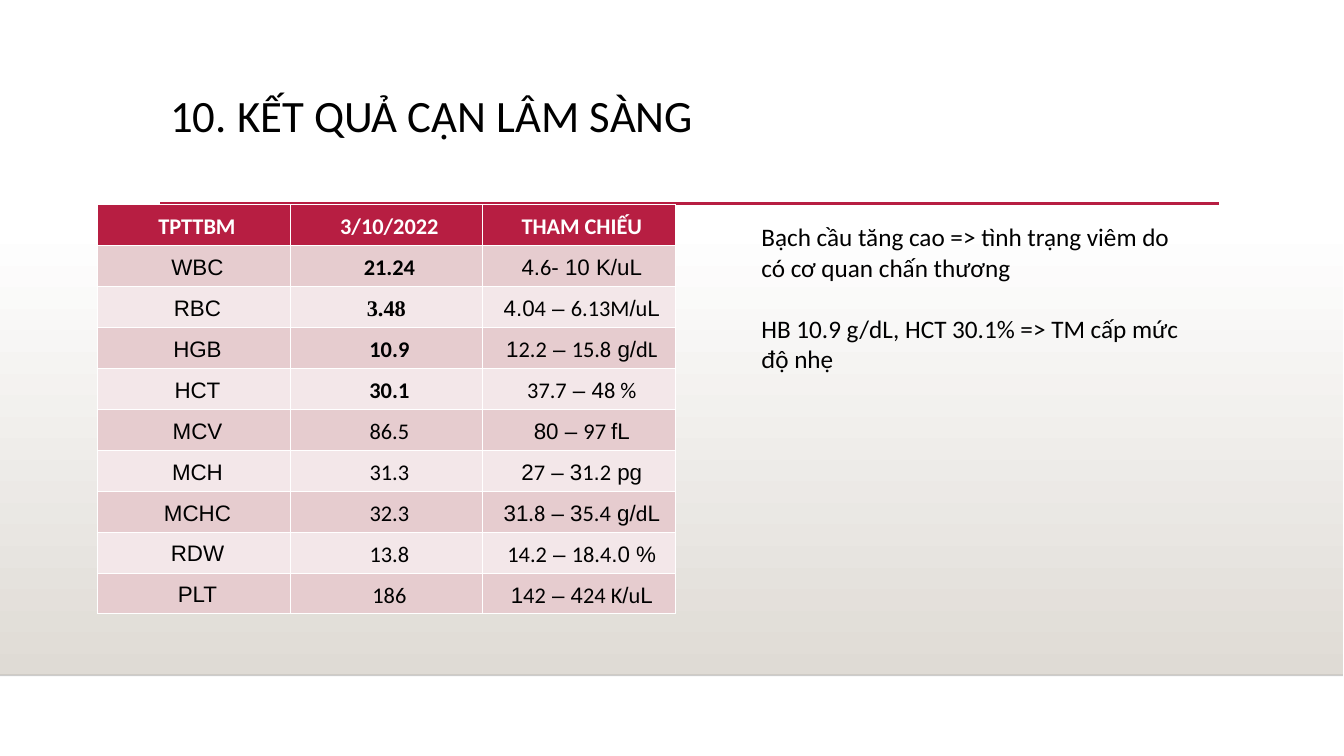
from dataclasses import dataclass

from lxml import etree
from pptx import Presentation
from pptx import util as u
from pptx.dml.color import RGBColor
from pptx.enum import shapes, text
from pptx.oxml import ns

EMU_PER_PX = 9144  # 100 px to the inch
COLORS = {
    "black": "000000",
    "white": "FFFFFF",
    "crimson": "B71E42",
    "rose": "E6CCCF",
    "pale_rose": "F3E7E9",
    "stone": "DFDBD5",
}
BODY_FONT = "Calibri"
LABEL_FONT = "Arial"


@dataclass(frozen=True)
class BloodTest:
    """A table row; the reference alternates label and body font at each bar."""
    name: str
    value: str
    reference: str
    bold: bool = False
    value_font: str = BODY_FONT
    value_indent: int = 6


@dataclass(frozen=True)
class Rule:
    left: int
    right: int
    top: int
    color: str
    width: float
    opacity: int = 100


HEADERS = ["TPTTBM", "3/10/2022", "THAM CHIẾU"]
BLOOD_TESTS = [
    BloodTest("WBC", "21.24", "4.|6|- 10 K/uL", True),
    BloodTest("RBC", "3.48", "4.0|4| – |6.13M|/|u|L", True, "Times New Roman", 0),
    BloodTest("HGB", "10.9", "1|2.2| – |15.8| g/|dL", True),
    BloodTest("HCT", "30.1", "|37.7| – 4|8 %", True),
    BloodTest("MCV", "86.5", "80 – |97 |fL"),
    BloodTest("MCH", "31.3", "2|7| – 3|1|.|2| pg"),
    BloodTest("MCHC", "32.3", "31|.8| – 3|5.4| g/|d|L"),
    BloodTest("RDW", "13.8", "|14.2| – |18.4|.0 %"),
    BloodTest("PLT", "186", "1|42| – 4|24 K|/|u|L"),
]
RULES = [
    Rule(0, 1333, 670, "black", 1, 20),
    Rule(159, 1210, 202, "crimson", 2.5),
]
REMARKS = [
    "Bạch cầu tăng cao => tình trạng viêm do có cơ quan chấn thương",
    "HB 10.9 g/dL, HCT 30.1% => TM cấp mức độ nhẹ",
]


def px(length: int) -> u.Emu:
    return u.Emu(length * EMU_PER_PX)


def rgb(name: str) -> RGBColor:
    return RGBColor.from_string(COLORS[name])


def set_font(font, size: int, color: str = "black", name: str | None = BODY_FONT,
             bold: bool = False) -> None:
    font.size = u.Pt(size)
    font.color.rgb = rgb(color)
    font.bold = bold
    if name:
        font.name = name


def add_backdrop(slide) -> None:
    shape = slide.shapes.add_shape(
        shapes.MSO_SHAPE.RECTANGLE, px(0), px(221), px(1333), px(449))
    shape.shadow.inherit = False
    shape.line.fill.background()
    shape.fill.gradient()
    shape.fill.gradient_angle = 270
    for stop, color in zip(shape.fill.gradient_stops, ("white", "stone")):
        stop.color.rgb = rgb(color)


def add_rule(slide, rule: Rule) -> None:
    connector = slide.shapes.add_connector(
        shapes.MSO_CONNECTOR.STRAIGHT,
        px(rule.left), px(rule.top), px(rule.right), px(rule.top))
    connector.line.width = u.Pt(rule.width)
    connector.line.color.rgb = rgb(rule.color)
    properties = connector._element.spPr
    if rule.opacity < 100:
        color = properties.find(".//" + ns.qn("a:srgbClr"))
        etree.SubElement(color, ns.qn("a:alpha"), val=str(rule.opacity * 1000))
    etree.SubElement(properties, ns.qn("a:effectLst"))


def add_title(slide) -> None:
    title = slide.shapes.title
    title.left, title.top, title.width, title.height = map(px, (159, 88, 1050, 115))
    frame = title.text_frame
    frame.text = "10. KẾT QUẢ CẬN LÂM SÀNG"
    frame.vertical_anchor = text.MSO_ANCHOR.TOP
    paragraph = frame.paragraphs[0]
    paragraph.alignment = text.PP_ALIGN.LEFT
    paragraph.line_spacing = 0.9
    set_font(paragraph.font, 32)


def set_borders(cell, top: float, bottom: float) -> None:
    properties = cell._tc.get_or_add_tcPr()
    for side, width in (("L", 0.45), ("R", 0.45), ("T", top), ("B", bottom)):
        line = etree.SubElement(properties, ns.qn(f"a:ln{side}"), w=str(u.Pt(width)))
        fill = etree.SubElement(line, ns.qn("a:solidFill"))
        etree.SubElement(fill, ns.qn("a:srgbClr"), val=COLORS["white"])


def start_cell(cell, row: int, indent: int = 6):
    """Format a cell by its row and return its empty paragraph."""
    set_borders(cell, 1.47 if row == 1 else 0.45, 1.47 if row == 0 else 0.45)
    cell.fill.solid()
    cell.fill.fore_color.rgb = rgb(
        "crimson" if row == 0 else "rose" if row % 2 else "pale_rose")
    cell.margin_top = cell.margin_bottom = 0
    cell.vertical_anchor = text.MSO_ANCHOR.MIDDLE
    paragraph = cell.text_frame.paragraphs[0]
    paragraph._p.get_or_add_pPr().set("marL", str(px(indent)))
    paragraph.alignment = text.PP_ALIGN.CENTER
    paragraph.line_spacing = 1.15
    return paragraph


def add_results_table(slide) -> None:
    row_count = len(BLOOD_TESTS) + 1
    table = slide.shapes.add_table(
        row_count, len(HEADERS), px(97), px(203), px(573), px(406)).table
    for column in table.columns:
        column.width = px(191)

    for column, header in enumerate(HEADERS):
        paragraph = start_cell(table.cell(0, column), 0)
        paragraph.add_run().text = header
        set_font(paragraph.font, 16, "white", bold=True)

    for row, test in enumerate(BLOOD_TESTS, start=1):
        name = start_cell(table.cell(row, 0), row, 7)
        name.add_run().text = test.name
        set_font(name.font, 16, name=LABEL_FONT)

        value = start_cell(table.cell(row, 1), row, test.value_indent)
        value.add_run().text = test.value
        set_font(value.font, 16, name=test.value_font, bold=test.bold)

        reference = start_cell(table.cell(row, 2), row)
        set_font(reference.font, 16, name=None)
        for index, part in enumerate(test.reference.split("|")):
            if part:
                run = reference.add_run()
                run.text = part
                run.font.name = BODY_FONT if index % 2 else LABEL_FONT


def add_remarks(slide) -> None:
    frame = slide.shapes.add_textbox(px(746), px(215), px(444), px(160)).text_frame
    frame.word_wrap = True
    for index, remark in enumerate(REMARKS):
        paragraph = frame.add_paragraph() if index else frame.paragraphs[0]
        paragraph.add_run().text = remark
        if index:
            paragraph.space_before = u.Pt(22)
        set_font(paragraph.font, 18)


def main() -> None:
    presentation = Presentation()
    presentation.slide_width, presentation.slide_height = px(1334), px(750)
    slide = presentation.slides.add_slide(presentation.slide_layouts[5])
    add_backdrop(slide)
    for rule in RULES:
        add_rule(slide, rule)
    add_title(slide)
    add_results_table(slide)
    add_remarks(slide)
    presentation.save("out.pptx")


if __name__ == "__main__":
    main()
